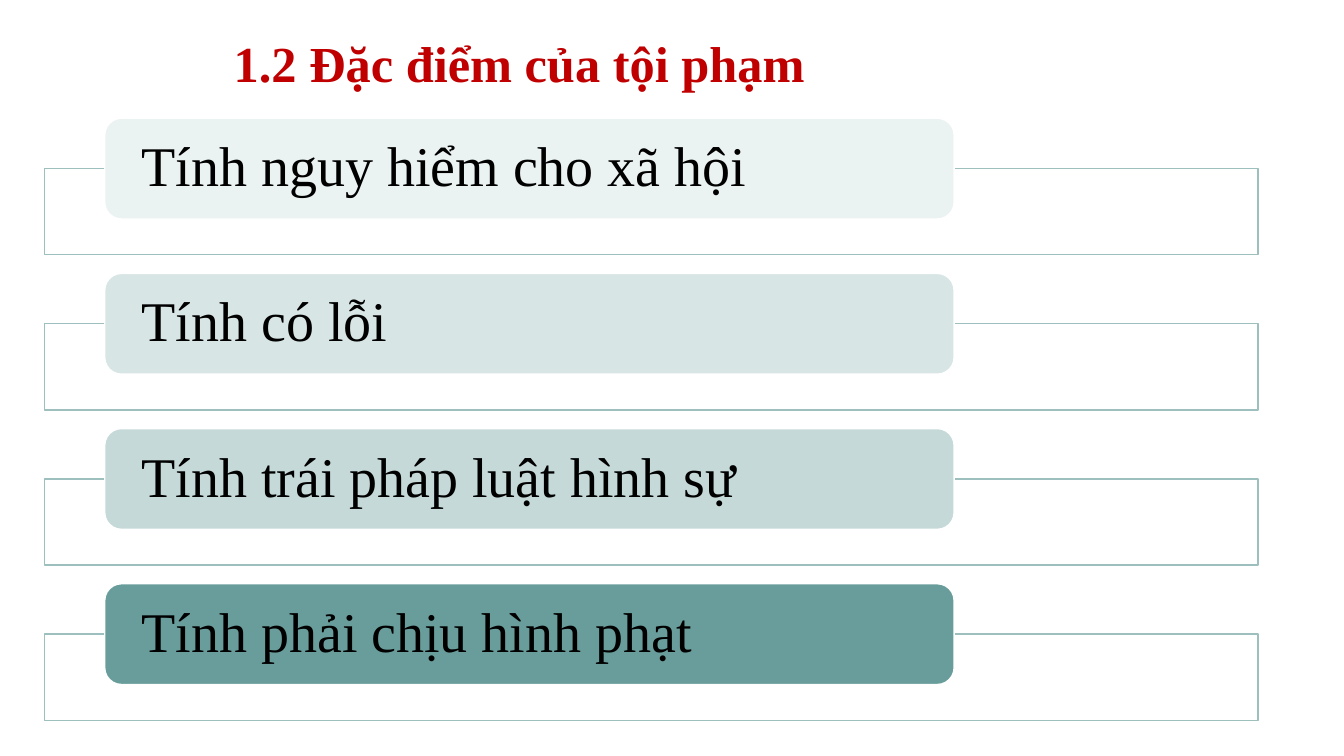
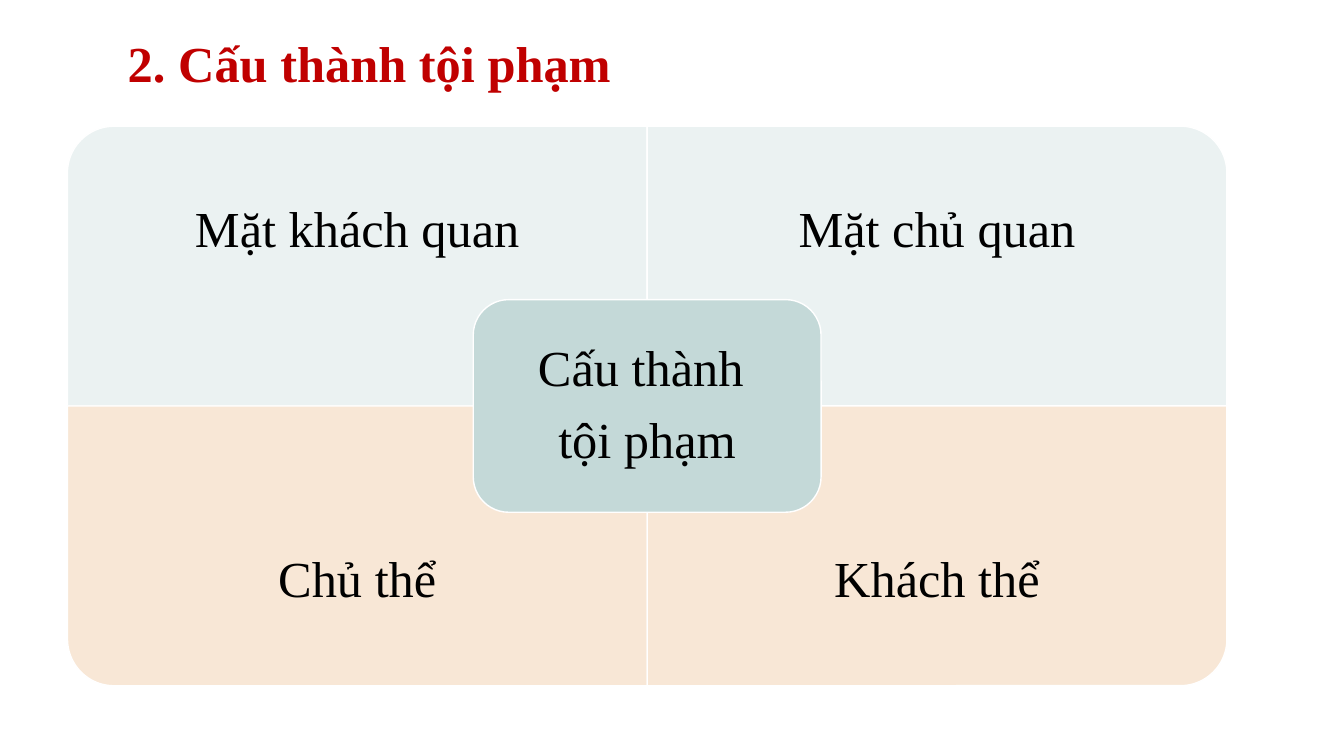
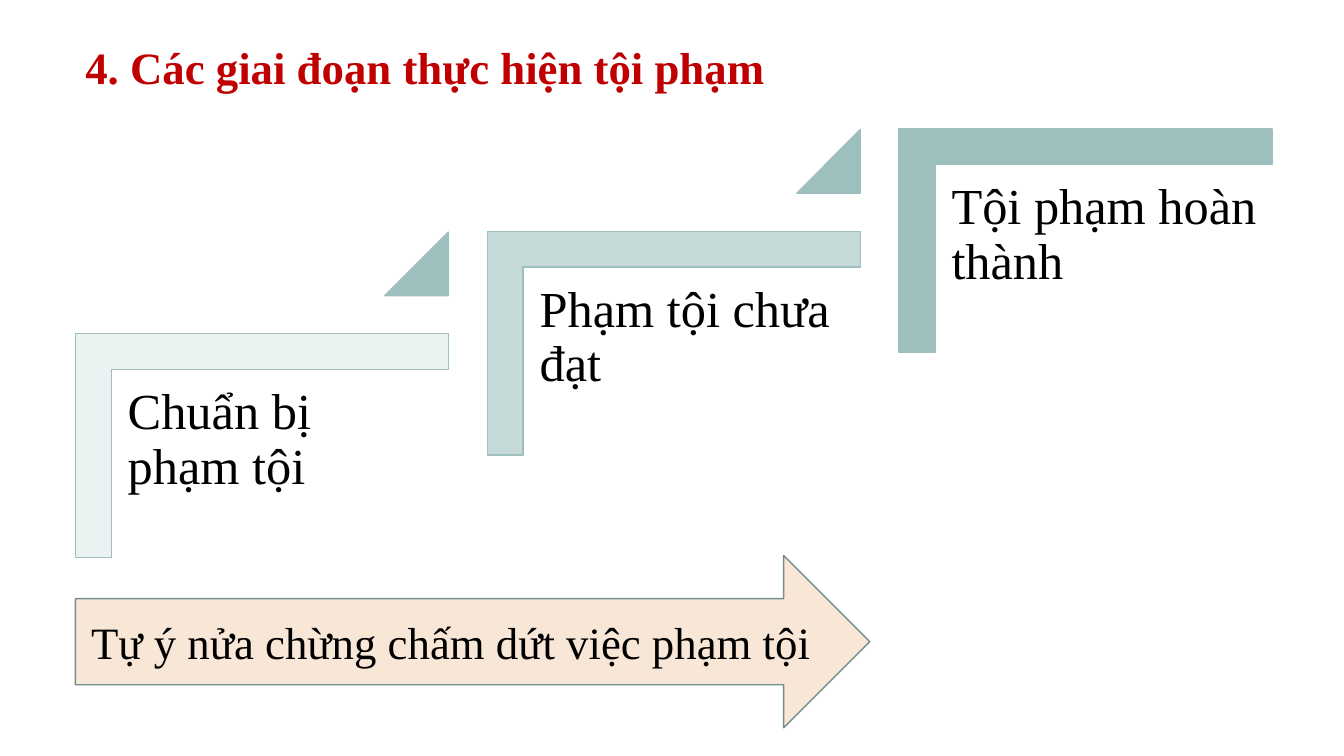
from pptx import Presentation
from pptx.dml.color import RGBColor
from pptx.enum.shapes import MSO_SHAPE as Shape
from pptx.enum.text import MSO_ANCHOR as Anchor, PP_ALIGN as Align
from pptx.util import Cm, Pt

FONT = "Times New Roman"
WHITE = RGBColor(0xFF, 0xFF, 0xFF)
BLACK = RGBColor(0x00, 0x00, 0x00)
RED = RGBColor(0xC0, 0x00, 0x00)
MIST = RGBColor(0xEB, 0xF2, 0xF2)
PALE = RGBColor(0xD8, 0xE5, 0xE5)
SOFT = RGBColor(0xC4, 0xD9, 0xD8)
SAGE = RGBColor(0x9D, 0xBF, 0xBE)
TEAL = RGBColor(0x68, 0x9D, 0x9B)
SLATE = RGBColor(0x74, 0x8D, 0x8D)
PEACH = RGBColor(0xF8, 0xE7, 0xD6)


def write(shape, lines, size, align=Align.LEFT, anchor=Anchor.MIDDLE,
          color=BLACK, bold=False, inset=(0.25, 0.13), spacing=0.9, after=0):
    frame = shape.text_frame
    frame.word_wrap = True
    frame.vertical_anchor = anchor
    frame.margin_left = frame.margin_right = Cm(inset[0])
    frame.margin_top = frame.margin_bottom = Cm(inset[1])
    for index, line in enumerate(lines):
        para = frame.add_paragraph() if index else frame.paragraphs[0]
        para.alignment = align
        para.line_spacing = spacing
        para.space_after = Pt(size * after)
        span = para.add_run()
        span.text = line
        span.font.name = FONT
        span.font.size = Pt(size)
        span.font.bold = bold
        span.font.color.rgb = color


def add_text(page, box, lines, size, **style):
    left, top, width, height = box
    label = page.shapes.add_textbox(Cm(left), Cm(top), Cm(width), Cm(height))
    write(label, lines, size, **style)


def add_figure(page, kind, box, fill, line=WHITE, turn=0):
    left, top, width, height = box
    if turn % 180:
        left, top = left + (width - height) / 2, top + (height - width) / 2
        width, height = height, width
    figure = page.shapes.add_shape(kind, Cm(left), Cm(top), Cm(width), Cm(height))
    figure.rotation = turn
    figure.shadow.inherit = False
    figure.fill.solid()
    figure.fill.fore_color.rgb = fill
    figure.line.color.rgb = line
    figure.line.width = Pt(1)
    return figure


def add_page(deck, title, box, size=36):
    page = deck.slides.add_slide(deck.slide_layouts[6])
    add_text(page, box, [title], size, color=RED, bold=True)
    return page


def add_trait(page, box, text, fill):
    left, top, width, height = box
    add_figure(page, Shape.RECTANGLE, (left, top + 1.27, width, height - 1.27), WHITE, SAGE)
    pill = add_figure(page, Shape.ROUNDED_RECTANGLE,
                      (left + 1.52, top, width * 0.7, 2.54), fill)
    write(pill, [text], 40, inset=(0.81, 0))


def add_matrix(page, box, quadrants, center):
    left, top, width, height = box
    half_width, half_height = width / 2, height / 2
    label_height = half_height * 0.75
    for index, (text, fill, turn) in enumerate(quadrants):
        row, column = divmod(index, 2)
        x, y = left + column * half_width, top + row * half_height
        add_figure(page, Shape.ROUND_1_RECTANGLE, (x, y, half_width, half_height),
                   fill, turn=turn)
        label_top = y + row * (half_height - label_height)
        add_text(page, (x, label_top, half_width, label_height), [text], 36,
                 align=Align.CENTER, inset=(0.71, 0.71), after=0.35)
    hub_width, hub_height = width * 0.3, height * 0.38
    hub = add_figure(page, Shape.ROUNDED_RECTANGLE,
                     (left + (width - hub_width) / 2, top + (height - hub_height) / 2,
                      hub_width, hub_height), SOFT)
    write(hub, center, 36, align=Align.CENTER, inset=(0.38, 0.38), after=0.35)


def add_step(page, box, text, fill):
    left, top, width, height = box
    bracket = add_figure(page, Shape.CORNER, box, fill, SAGE, turn=90)
    bracket.adjustments[0] = bracket.adjustments[1] = 0.16
    add_text(page, (left + 0.94, top + 0.94, width - 0.92, height + 1.8), [text], 36,
             anchor=Anchor.TOP, inset=(0.38, 0.38), after=0.35)


def add_stairs(page, box, steps, rise):
    left, top, width, height = box
    for index, (text, fill) in enumerate(steps):
        x, y = left + index * (width + 0.98), top - index * rise
        add_step(page, (x, y, width, height), text, fill)
        if index < len(steps) - 1:
            marker = add_figure(page, Shape.ISOSCELES_TRIANGLE,
                                (x + width - 1.6, y - rise + 0.02, 1.6, 1.6), SAGE, SAGE)
            marker.adjustments[0] = 1


def build_traits(deck):
    page = add_page(deck, "1.2 Đặc điểm của tội phạm", (5.64, 0.76, 17.91, 1.8))
    traits = [("Tính nguy hiểm cho xã hội", MIST), ("Tính có lỗi", PALE),
              ("Tính trái pháp luật hình sự", SOFT), ("Tính phải chịu hình phạt", TEAL)]
    for index, (text, fill) in enumerate(traits):
        add_trait(page, (1.12, 2.98 + index * 3.91, 30.58, 3.44), text, fill)


def build_elements(deck):
    page = add_page(deck, "2. Cấu thành tội phạm", (2.97, 0.69, 27.94, 1.96))
    quadrants = [("Mặt khách quan", MIST, 270), ("Mặt chủ quan", MIST, 0),
                 ("Chủ thể", PEACH, 180), ("Khách thể", PEACH, 90)]
    add_matrix(page, (1.7, 3.18, 29.22, 14.1), quadrants, ["Cấu thành ", "tội phạm"])


def build_stages(deck):
    page = add_page(deck, "4. Các giai đoạn thực hiện tội phạm", (1.9, 0.71, 30.23, 2.11), 32)
    steps = [("Chuẩn bị phạm tội", MIST), ("Phạm tội chưa đạt", SOFT),
             ("Tội phạm hoàn thành", SAGE)]
    add_stairs(page, (1.9, 8.41, 9.4, 5.64), steps, 2.58)
    arrow = add_figure(page, Shape.RIGHT_ARROW, (1.9, 14, 20.02, 4.34), PEACH, SLATE)
    write(arrow, ["Tự ý nửa chừng chấm dứt việc phạm tội"], 32,
          align=Align.CENTER, spacing=1.0)


def main():
    deck = Presentation()
    deck.slide_width, deck.slide_height = Cm(33.87), Cm(19.05)
    build_traits(deck)
    build_elements(deck)
    build_stages(deck)
    deck.save("out.pptx")


if __name__ == "__main__":
    main()
